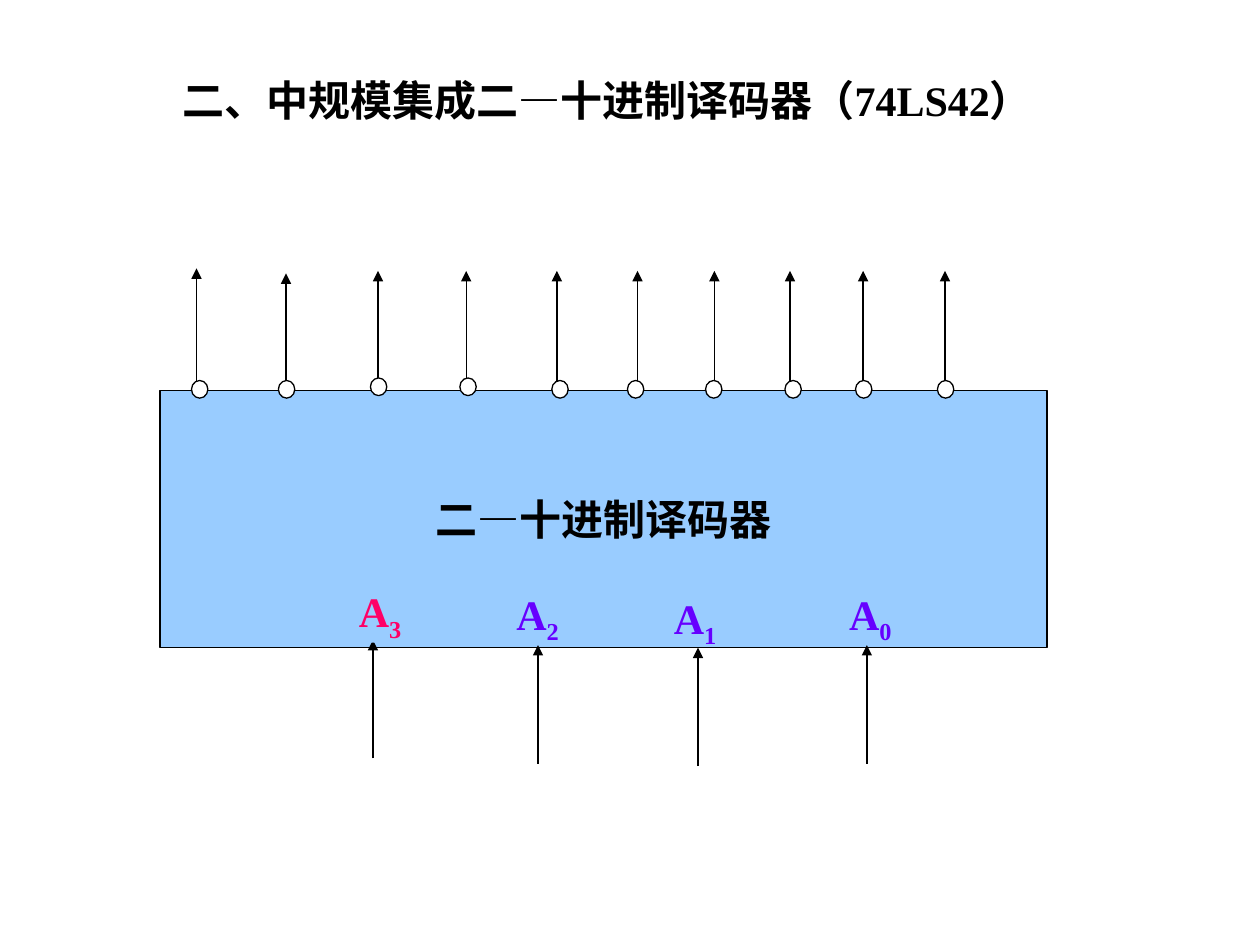
from dataclasses import dataclass

from lxml import etree
from pptx import Presentation
from pptx.dml.color import RGBColor
from pptx.enum.shapes import MSO_CONNECTOR, MSO_SHAPE
from pptx.enum.text import MSO_ANCHOR, MSO_AUTO_SIZE, PP_ALIGN
from pptx.oxml.ns import qn
from pptx.util import Inches, Pt

RECTANGLE, OVAL = MSO_SHAPE.RECTANGLE, MSO_SHAPE.OVAL
STRAIGHT = MSO_CONNECTOR.STRAIGHT
TOP, MIDDLE = MSO_ANCHOR.TOP, MSO_ANCHOR.MIDDLE
LEFT, CENTER = PP_ALIGN.LEFT, PP_ALIGN.CENTER
GROW = MSO_AUTO_SIZE.SHAPE_TO_FIT_TEXT


@dataclass(frozen=True)
class Theme:
    font: str = "Times New Roman"
    size: int = 24
    line_width: float = 0.75
    black: RGBColor = RGBColor(0x00, 0x00, 0x00)
    white: RGBColor = RGBColor(0xFF, 0xFF, 0xFF)
    block: RGBColor = RGBColor(0x99, 0xCC, 0xFF)
    violet: RGBColor = RGBColor(0x66, 0x00, 0xFF)
    pink: RGBColor = RGBColor(0xFF, 0x00, 0x66)


class Diagram:
    def __init__(self, slide, theme):
        self.slide = slide
        self.theme = theme

    def shape(self, kind, left, top, width, height, fill, outlined=True):
        shape = self.slide.shapes.add_shape(
            kind, Inches(left), Inches(top), Inches(width), Inches(height))
        shape.shadow.inherit = False
        shape.fill.solid()
        shape.fill.fore_color.rgb = fill
        if outlined:
            shape.line.color.rgb = self.theme.black
            shape.line.width = Pt(self.theme.line_width)
        else:
            shape.line.fill.background()
        return shape

    def set_text(self, frame, text, color, align, subscript=""):
        paragraph = frame.paragraphs[0]
        paragraph.text = text
        paragraph.alignment = align
        if subscript:
            index = paragraph.add_run()
            index.text = subscript
            index.font._element.set("baseline", "-25000")
        for run in paragraph.runs:
            run.font.name = self.theme.font
            run.font.size = Pt(self.theme.size)
            run.font.bold = True
            run.font.color.rgb = color

    def label(self, left, top, width, text, color, subscript="", fill=None):
        height = 0.5
        if fill is None:
            box = self.slide.shapes.add_textbox(
                Inches(left), Inches(top), Inches(width), Inches(height))
        else:
            box = self.shape(RECTANGLE, left, top, width, height, fill, outlined=False)
        frame = box.text_frame
        frame.vertical_anchor = TOP
        frame.word_wrap = True
        frame.auto_size = GROW
        self.set_text(frame, text, color, LEFT, subscript)

    def up_arrow(self, x, bottom, length):
        arrow = self.slide.shapes.add_connector(
            STRAIGHT, Inches(x), Inches(bottom), Inches(x), Inches(bottom - length))
        arrow.line.color.rgb = self.theme.black
        arrow.line.width = Pt(self.theme.line_width)
        properties = arrow._element.spPr
        etree.SubElement(properties.find(qn("a:ln")), qn("a:tailEnd"), type="triangle")
        etree.SubElement(properties, qn("a:effectLst"))


def build():
    theme = Theme()
    presentation = Presentation()
    presentation.slide_width, presentation.slide_height = Inches(10), Inches(7.5)
    diagram = Diagram(presentation.slides.add_slide(presentation.slide_layouts[6]), theme)

    # Title
    diagram.label(1.35, 0.54, 7.31, "二、中规模集成二—十进制译码器（74LS42）", theme.black)

    # Decoder block
    decoder = diagram.shape(RECTANGLE, 1.27, 3.1, 7.04, 2.04, theme.block)
    decoder.text_frame.word_wrap = False
    decoder.text_frame.vertical_anchor = MIDDLE
    diagram.set_text(decoder.text_frame, "二—十进制译码器", theme.black, CENTER)

    # Inputs: arrow x, arrow bottom, label left, label top, subscript, colour, fill
    inputs = [
        (2.96, 6.02, 2.75, 4.60, "3", theme.pink, theme.block),
        (4.27, 6.06, 4.00, 4.62, "2", theme.violet, None),
        (5.54, 6.08, 5.25, 4.65, "1", theme.violet, None),
        (6.88, 6.06, 6.64, 4.62, "0", theme.violet, None),
    ]
    for arrow_x, bottom, left, top, index, color, fill in inputs:
        diagram.up_arrow(arrow_x, bottom, 0.94)
        diagram.label(left, top, 0.77, "A", color, index, fill)

    # Outputs: arrow x, arrow bottom, bubble left, bubble top
    outputs = [
        (1.56, 3.06, 1.52, 3.02), (2.27, 3.10, 2.21, 3.02),
        (3.00, 3.08, 2.94, 3.00), (3.70, 3.08, 3.65, 3.00),
        (4.42, 3.08, 4.38, 3.02), (5.06, 3.08, 4.98, 3.02),
        (5.67, 3.08, 5.60, 3.02), (6.27, 3.08, 6.23, 3.02),
        (6.85, 3.08, 6.79, 3.02), (7.50, 3.08, 7.44, 3.02),
    ]
    for arrow_x, bottom, left, top in outputs:
        diagram.up_arrow(arrow_x, bottom, 0.93)
        diagram.shape(OVAL, left, top, 0.13, 0.14, theme.white)

    presentation.save("out.pptx")


if __name__ == "__main__":
    build()
